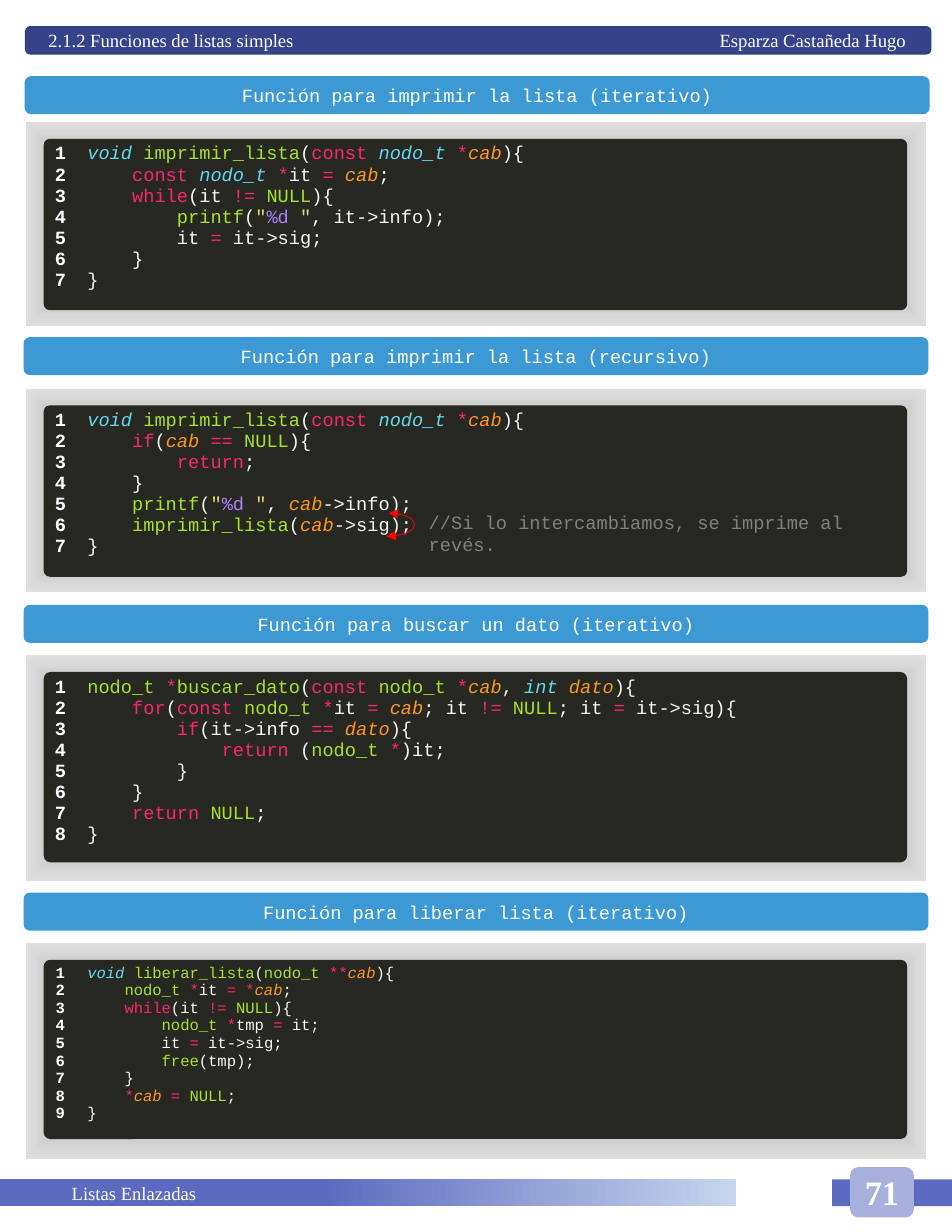
from lxml.etree import SubElement
from pptx import Presentation
from pptx.dml.color import RGBColor
from pptx.enum.shapes import MSO_CONNECTOR, MSO_SHAPE
from pptx.enum.text import MSO_ANCHOR, PP_ALIGN
from pptx.oxml import parse_xml
from pptx.oxml.ns import nsdecls, qn
from pptx.util import Inches, Pt

# The slide is a grid of 85 columns by 110 rows; boxes are (left, top, width, height).
COLUMNS, ROWS = 85, 110
CELL = Inches(8.5) / COLUMNS
SERIF, MONO = "Times New Roman", "Courier New"
NO_TABLE_STYLE = "{2D5ABB26-0587-4C30-8999-92F81FD0307C}"
INDENT = (chr(160) + " ") * 2

COLORS = {
    "white": "FFFFFF", "header": "36428A", "header line": "28457A", "banner": "3C99D4",
    "editor": "272822", "footer": "5C6BC0", "page": "A7AFDD", "arrow": "FF0000",
    "note": "808080", "plain": "F8F8F2", "type": "66D9EF", "name": "A6E22E",
    "key": "F92672", "var": "FD971F", "quote": "E6DB74", "format": "AE81FF",
}
FRAME_STOPS = [(11, "7B7B7B"), (61, "BCBCBC"), (100, "DEDEDE"), (100, "FFFFFF")]
FOOTER_STOPS = [(44, "5C6BC0"), (100, "C7D5ED")]
FRAME_PATH = '<a:path path="rect"><a:fillToRect l="50000" t="50000" r="50000" b="50000"/></a:path>'
FOOTER_PATH = '<a:lin ang="0" scaled="1"/>'

# Each code line is (depth, runs); runs are split by | and may start with "color:".
PRINT_HEAD = (0, "type:void |name:imprimir_lista|(|key:const |type:nodo_t |key:*|var:cab|){")
WHILE = (1, "key:while|(it |key:!= |name:NULL|){")
NEXT = (2, "it |key:= |it->sig;")
PRINTF = 'name:printf|(|quote:"|format:%d|quote: "|'
PRINT_LOOP = [
    PRINT_HEAD,
    (1, "key:const |type:nodo_t |key:*|it |key:= |var:cab|;"),
    WHILE,
    (2, PRINTF + ", it->info);"),
    NEXT, (1, "}"), (0, "}"),
]
PRINT_RECURSIVE = [
    PRINT_HEAD,
    (1, "key:if|(|var:cab |key:== |name:NULL|){"),
    (2, "key:return|;"),
    (1, "}"),
    (1, PRINTF + ", |var:cab|->info);"),
    (1, "name:imprimir_lista|(|var:cab|->sig);"),
    (0, "}"),
]
SEARCH = [
    (0, "name:nodo_t |key:*|name:buscar_dato|(|key:const |name:nodo_t |key:*|var:cab|, "
        "|type:int |var:dato|){"),
    (1, "key:for|(|key:const |name:nodo_t |key:*|it |key:= |var:cab|; it |key:!= |name:NULL"
        "|; it |key:= |it->sig){"),
    (2, "key:if|(it->info |key:== |var:dato|){"),
    (3, "key:return| (|name:nodo_t |key:*|)it;"),
    (2, "}"), (1, "}"),
    (1, "key:return |name:NULL|;"),
    (0, "}"),
]
FREE = [
    (0, "type:void |name:liberar_lista|(|name:nodo_t |key:**|var:cab|){"),
    (1, "name:nodo_t |key:*|it |key:= *|var:cab|;"),
    WHILE,
    (2, "name:nodo_t |key:*|tmp |key:= |it;"),
    NEXT,
    (2, "name:free|(tmp);"),
    (1, "}"),
    (1, "key:*|var:cab |key:= |name:NULL|;"),
    (0, "}"),
]
# title, banner left, banner top, frame top, frame height, editor height, text size, code
SECTIONS = [
    ("Función para imprimir la lista (iterativo)", 2.2, 6.8, 10.9, 18.2, 15.3, 12, PRINT_LOOP),
    ("Función para imprimir la lista (recursivo)", 2.1, 30.1, 34.7, 18.2, 15.3, 12, PRINT_RECURSIVE),
    ("Función para buscar un dato (iterativo)", 2.1, 54, 58.5, 20.2, 17, 12, SEARCH),
    ("Función para liberar lista (iterativo)", 2.1, 79.7, 84.2, 19.3, 16, 10, FREE),
]


def grid(*lengths):
    return [round(length * CELL) for length in lengths]


def rgb(name):
    return RGBColor.from_string(COLORS[name])


def add_run(paragraph, text, size, color, font=MONO, bold=False, italic=False):
    run = paragraph.add_run()
    run.text = text
    run.font.size, run.font.name = Pt(size), font
    run.font.bold, run.font.italic = bold, italic
    run.font.color.rgb = rgb(color)


def add_box(slide, box, fill=None, kind=MSO_SHAPE.RECTANGLE):
    shape = slide.shapes.add_shape(kind, *grid(*box))
    shape.shadow.inherit = False
    shape.line.fill.background()
    shape.text_frame.vertical_anchor = MSO_ANCHOR.MIDDLE
    if fill:
        shape.fill.solid()
        shape.fill.fore_color.rgb = rgb(fill)
    return shape


def set_gradient(shape, stops, direction):
    marks = "".join(f'<a:gs pos="{share * 1000}"><a:srgbClr val="{color}"/></a:gs>'
                    for share, color in stops)
    properties = shape._element.spPr
    properties.find(qn("a:prstGeom")).addnext(parse_xml(
        f'<a:gradFill {nsdecls("a")} rotWithShape="1"><a:gsLst>{marks}</a:gsLst>'
        f'{direction}</a:gradFill>'))


def add_header(slide, box):
    shape = add_box(slide, box, "header", MSO_SHAPE.ROUNDED_RECTANGLE)
    shape.line.color.rgb, shape.line.width = rgb("header line"), Pt(1)
    shape.text_frame.margin_left = grid(1.9)[0]
    paragraph = shape.text_frame.paragraphs[0]
    paragraph.alignment = PP_ALIGN.LEFT
    tabs = SubElement(paragraph._p.get_or_add_pPr(), qn("a:tabLst"))
    SubElement(tabs, qn("a:tab"), pos=str(grid(76.6)[0]), algn="r")
    add_run(paragraph, "2.1.2 Funciones de listas simples", 12, "white", SERIF)
    add_run(paragraph, "\t", 12, "white", SERIF)
    add_run(paragraph, "Esparza Castañeda Hugo", 12, "white", SERIF)


def add_footer(slide, top, height):
    add_box(slide, (74.3, top, COLUMNS - 74.3, height), "footer")
    page = add_box(slide, (75.9, top - 1.1, 5.7, 4.5), "page", MSO_SHAPE.ROUNDED_RECTANGLE)
    page.text_frame.paragraphs[0].alignment = PP_ALIGN.CENTER
    add_run(page.text_frame.paragraphs[0], "71", 22, "white", SERIF, bold=True)
    band = add_box(slide, (0, top, 65.7, height))
    set_gradient(band, FOOTER_STOPS, FOOTER_PATH)
    band.text_frame.margin_left = grid(6.4)[0]
    band.text_frame.paragraphs[0].alignment = PP_ALIGN.LEFT
    add_run(band.text_frame.paragraphs[0], "Listas Enlazadas", 12, "white", SERIF)


def add_banner(slide, box, title):
    shape = add_box(slide, box, "banner", MSO_SHAPE.ROUNDED_RECTANGLE)
    shape.text_frame.paragraphs[0].alignment = PP_ALIGN.CENTER
    add_run(shape.text_frame.paragraphs[0], title, 12, "white")


def add_editor(slide, box, size, code):
    """Dark rounded panel with a table of line numbers and code."""
    panel = add_box(slide, box, "editor", MSO_SHAPE.ROUNDED_RECTANGLE)
    panel.adjustments[0] = 0.036
    table = slide.shapes.add_table(1, 2, *grid(*box)).table
    table.first_row = table.horz_banding = False
    table._tbl.tblPr.find(qn("a:tableStyleId")).text = NO_TABLE_STYLE
    for column, width in zip(table.columns, grid(2.9, box[2] - 2.9)):
        column.width = width
    numbers, lines = table.cell(0, 0), table.cell(0, 1)
    for cell in (numbers, lines):
        cell.fill.background()
    for index, (depth, markup) in enumerate(code):
        number, line = (cell.text_frame.add_paragraph() if index
                        else cell.text_frame.paragraphs[0] for cell in (numbers, lines))
        number.alignment = PP_ALIGN.RIGHT
        add_run(number, str(index + 1), size, "white", bold=True)
        if depth:
            add_run(line, INDENT * depth, size, "plain")
        for part in markup.split("|"):
            color, _, text = part.rpartition(":")
            add_run(line, text, size, color or "plain", italic=color in ("type", "var"))


def add_section(slide, title, left, top, frame_top, frame_height, editor_height, size, code):
    add_banner(slide, (left, top, 80.8, 3.4), title)
    frame = add_box(slide, (2.3, frame_top, 80.4, frame_height))
    set_gradient(frame, FRAME_STOPS, FRAME_PATH)
    add_editor(slide, (3.9, frame_top + 1.5, 77.1, editor_height), size, code)


def add_swap_note(slide, box):
    """Comment with a curved double arrow at its left, joining the two lines to swap."""
    left, top, _, _ = box
    arrow = slide.shapes.add_connector(
        MSO_CONNECTOR.CURVE, *grid(left - 2.8, top + 2.8, left - 2.6, top + 0.7))
    arrow.line.color.rgb, arrow.line.width = rgb("arrow"), Pt(0.5)
    for end in ("a:headEnd", "a:tailEnd"):
        SubElement(arrow.line._get_or_add_ln(), qn(end), type="triangle")
    properties = arrow._element.spPr
    SubElement(properties, qn("a:effectLst"))
    guides = properties.find(qn("a:prstGeom")).get_or_add_avLst()
    SubElement(guides, qn("a:gd"), name="adj1", fmla="val 1250000")
    note = slide.shapes.add_textbox(*grid(*box))
    note.text_frame.word_wrap = True
    add_run(note.text_frame.paragraphs[0],
            "//Si lo intercambiamos, se imprime al revés.", 12, "note")


def main():
    presentation = Presentation()
    presentation.slide_width, presentation.slide_height = grid(COLUMNS, ROWS)
    slide = presentation.slides.add_slide(presentation.slide_layouts[6])
    add_footer(slide, 105.3, 2.4)
    add_header(slide, (2.3, 2.4, 80.8, 2.4))
    for section in SECTIONS:
        add_section(slide, *section)
    add_swap_note(slide, (37.3, 45.1, 42.6, 3))
    presentation.save("out.pptx")


if __name__ == "__main__":
    main()
